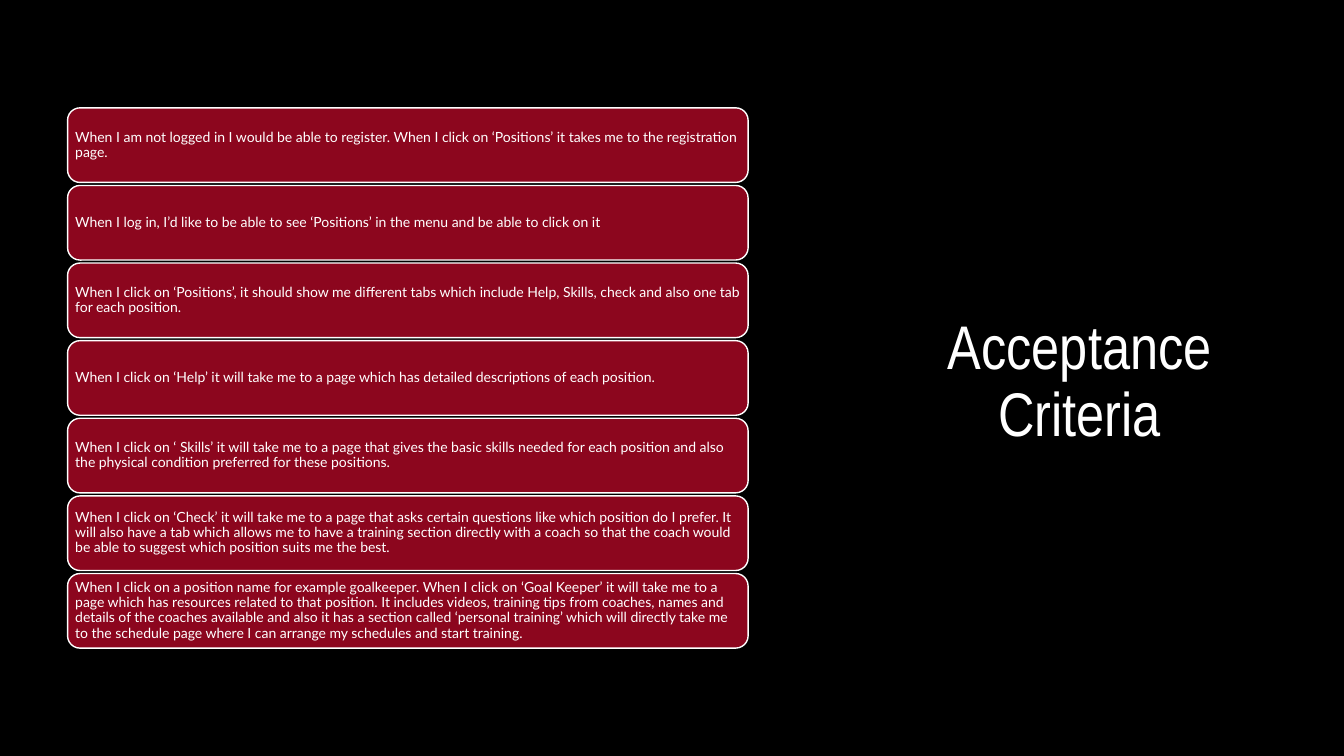
from pptx import Presentation
from pptx.dml.color import RGBColor
from pptx.enum.shapes import MSO_SHAPE
from pptx.enum.text import MSO_ANCHOR, PP_ALIGN
from pptx.util import Inches, Pt

TITLE = "Acceptance Criteria"
CRITERIA = [
    "When I am not logged in I would be able to register. When I click on ‘Positions’ "
    "it takes me to the registration page.",
    "When I log in, I’d like to be able to see ‘Positions’ in the menu and be able to click on it",
    "When I click on ‘Positions’, it should show me different tabs which include Help, Skills, "
    "check and also one tab for each position.",
    "When I click on ‘Help’ it will take me to a page which has detailed descriptions "
    "of each position.",
    "When I click on ‘ Skills’ it will take me to a page that gives the basic skills needed "
    "for each position and also the physical condition preferred for these positions.",
    "When I click on ‘Check’ it will take me to a page that asks certain questions like which "
    "position do I prefer. It will also have a tab which allows me to have a training section "
    "directly with a coach so that the coach would be able to suggest which position suits me "
    "the best.",
    "When I click on a position name for example goalkeeper. When I click on ‘Goal Keeper’ it "
    "will take me to a page which has resources related to that position. It includes videos, "
    "training tips from coaches, names and details of the coaches available and also it has a "
    "section called ‘personal training’ which will directly take me to the schedule page where "
    "I can arrange my schedules and start training.",
]

BLACK = RGBColor(0x00, 0x00, 0x00)
WHITE = RGBColor(0xFF, 0xFF, 0xFF)
CRIMSON = RGBColor(0x8C, 0x06, 0x1E)

CARD_LEFT, CARD_TOP = 0.67, 1.07
CARD_WIDTH, CARD_HEIGHT = 6.75, 0.74
CARD_PITCH = 0.77
CARD_INSET = Inches(0.04)


def set_text(sp, text, font, size, align, anchor):
    tf = sp.text_frame
    tf.text = text
    tf.word_wrap = True
    tf.vertical_anchor = anchor
    p = tf.paragraphs[0]
    p.alignment = align
    p.line_spacing = 0.9
    r = p.runs[0]
    r.font.name = font
    r.font.size = Pt(size)
    r.font.color.rgb = WHITE


def add_card(slide, index, text):
    sp = slide.shapes.add_shape(
        MSO_SHAPE.ROUNDED_RECTANGLE,
        Inches(CARD_LEFT), Inches(CARD_TOP + index * CARD_PITCH),
        Inches(CARD_WIDTH), Inches(CARD_HEIGHT))
    sp.shadow.inherit = False
    sp.fill.solid()
    sp.fill.fore_color.rgb = CRIMSON
    sp.line.color.rgb = WHITE
    sp.line.width = Pt(1)
    tf = sp.text_frame
    tf.margin_left = tf.margin_right = CARD_INSET
    tf.margin_top = tf.margin_bottom = CARD_INSET
    set_text(sp, text, "Lato", 10, PP_ALIGN.LEFT, MSO_ANCHOR.MIDDLE)


def main():
    prs = Presentation()
    prs.slide_width, prs.slide_height = Inches(13.33), Inches(7.5)
    slide = prs.slides.add_slide(prs.slide_layouts.get_by_name("Title Only"))
    slide.background.fill.solid()
    slide.background.fill.fore_color.rgb = BLACK

    title = slide.shapes.title
    title.left, title.top = Inches(8.71), Inches(2.18)
    title.width, title.height = Inches(4), Inches(2.33)
    set_text(title, TITLE, "Arial Narrow", 44, PP_ALIGN.CENTER, MSO_ANCHOR.BOTTOM)

    for index, text in enumerate(CRITERIA):
        add_card(slide, index, text)

    prs.save("out.pptx")


if __name__ == "__main__":
    main()
